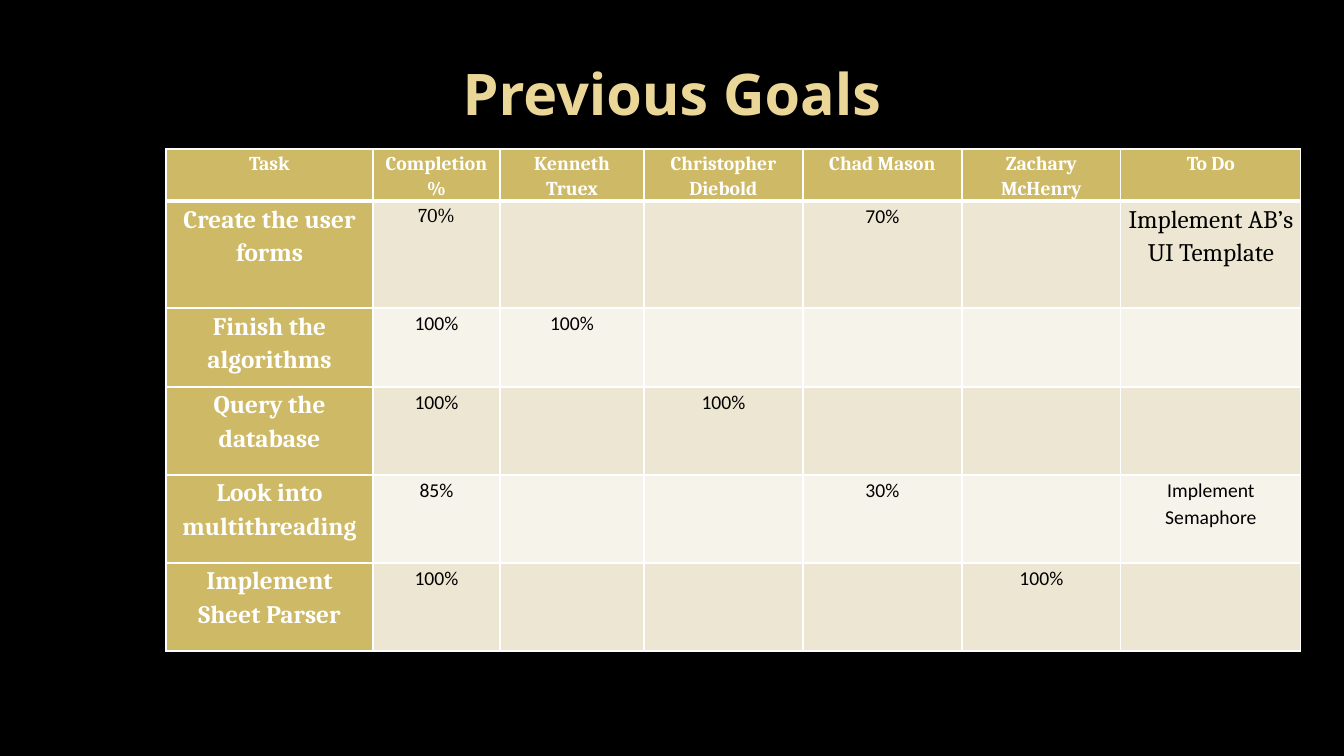
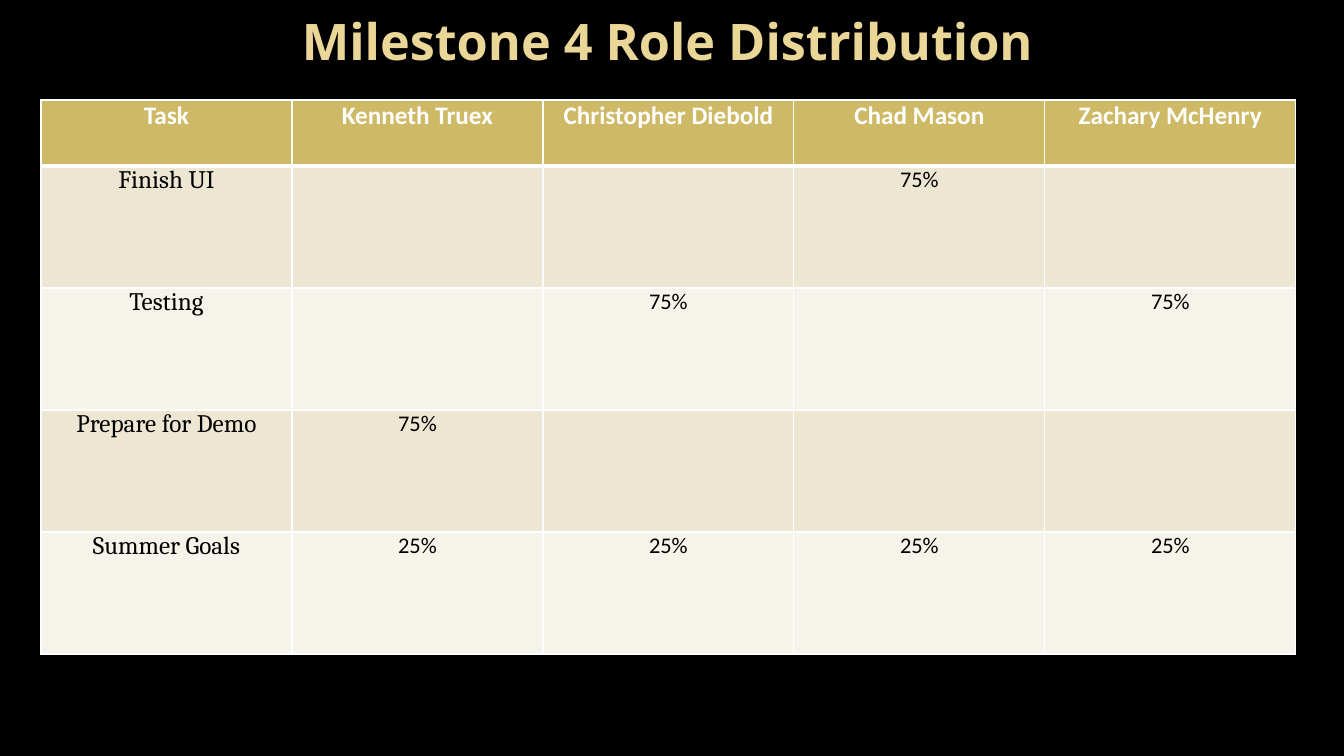
from dataclasses import dataclass

from lxml.etree import SubElement
from pptx import Presentation
from pptx.dml.color import RGBColor
from pptx.enum.text import MSO_ANCHOR as Anchor, PP_ALIGN as Align
from pptx.oxml.ns import qn
from pptx.util import Emu, Pt

EMU_PER_PIXEL = 914400 / 100.8
BLACK, WHITE = "000000", "FFFFFF"
TITLE_GOLD, HEADER_GOLD = "EAD696", "CEB966"
BANDS = ("EDE6D3", "F6F3EA")
TITLE_ONLY = 5
MEMBERS = ["Kenneth Truex", "Christopher Diebold", "Chad Mason", "Zachary McHenry"]


@dataclass
class Lettering:
    """Font settings of a paragraph."""
    family: str
    size: int
    colour: str = BLACK
    bold: bool = False


@dataclass
class GridStyle:
    """Lettering and spacing of one table."""
    header: Lettering
    label: Lettering
    value: Lettering
    spacing: float = 1.0
    gold_labels: bool = False


def px(pixels):
    """Turn pixels into EMU."""
    return Emu(round(pixels * EMU_PER_PIXEL))


def rgb(hex_colour):
    """Turn a hex string into a colour."""
    return RGBColor.from_string(hex_colour)


def letter(paragraph, lettering):
    """Apply centred lettering to a paragraph."""
    paragraph.alignment = Align.CENTER
    font = paragraph.font
    font.name, font.size, font.bold = lettering.family, Pt(lettering.size), lettering.bold
    font.color.rgb = rgb(lettering.colour)


def add_titled_slide(deck, title, box, size):
    """Add a slide and format its title placeholder."""
    slide = deck.slides.add_slide(deck.slide_layouts[TITLE_ONLY])
    heading = slide.shapes.title
    heading.left, heading.top, heading.width, heading.height = map(px, box)
    heading.text_frame.text = title
    heading.text_frame.vertical_anchor = Anchor.MIDDLE
    letter(heading.text_frame.paragraphs[0], Lettering("Open Sans", size, TITLE_GOLD, True))
    return slide


def set_borders(cell, top, bottom):
    """Draw white cell borders, with the top and bottom widths in points."""
    properties = cell._tc.get_or_add_tcPr()
    sides = (("L", 1), ("R", 1), ("T", top), ("B", bottom))
    for position, (side, width) in enumerate(sides):
        line = SubElement(properties, qn(f"a:ln{side}"), w=str(Pt(width)))
        SubElement(SubElement(line, qn("a:solidFill")), qn("a:srgbClr"), val=WHITE)
        properties.insert(position, line)


def format_cell(cell, text, fill, lettering, spacing):
    """Fill a cell and set its text."""
    cell.fill.solid()
    cell.fill.fore_color.rgb = rgb(fill)
    if not text:
        return
    cell.margin_left = cell.margin_right = px(7)
    cell.margin_top = cell.margin_bottom = 0
    cell.text = text
    paragraph = cell.text_frame.paragraphs[0]
    paragraph.line_spacing = spacing
    letter(paragraph, lettering)


def add_grid(slide, corner, widths, heights, rows, style, exceptions=None):
    """Add a table with a gold header row and banded body rows."""
    left, top = corner
    frame = slide.shapes.add_table(
        len(rows), len(widths), px(left), px(top), px(sum(widths)), px(sum(heights)))
    table = frame.table
    table.first_col = style.gold_labels
    for column, width in zip(table.columns, widths):
        column.width = px(width)
    for line, height in zip(table.rows, heights):
        line.height = px(height)
    for r, row in enumerate(rows):
        for c, text in enumerate(row):
            is_gold = r == 0 or (c == 0 and style.gold_labels)
            lettering = style.header if r == 0 else style.label if c == 0 else style.value
            lettering = (exceptions or {}).get((r, c), lettering)
            fill = HEADER_GOLD if is_gold else BANDS[(r - 1) % 2]
            cell = table.cell(r, c)
            format_cell(cell, text, fill, lettering, style.spacing)
            set_borders(cell, 3 if r == 1 else 1, 3 if r == 0 else 1)


def add_previous_goals(deck):
    """Build the slide on earlier goals."""
    slide = add_titled_slide(deck, "Previous Goals", (67, 30, 1210, 126), 41)
    style = GridStyle(
        header=Lettering("Cambria", 14, WHITE, True),
        label=Lettering("Cambria", 18, WHITE, True),
        value=Lettering("Calibri", 14),
        spacing=1.15,
        gold_labels=True)
    rows = [
        ["Task", "Completion %", *MEMBERS, "To Do"],
        ["Create the user forms", "70%", "", "", "70%", "", "Implement AB’s UI Template"],
        ["Finish the algorithms", "100%", "100%", "", "", "", ""],
        ["Query the database", "100%", "", "100%", "", "", ""],
        ["Look into multithreading", "85%", "", "", "30%", "", "Implement Semaphore"],
        ["Implement Sheet Parser", "100%", "", "", "", "100%", ""],
    ]
    exceptions = {(1, 1): Lettering("Cambria", 14), (1, 6): Lettering("Cambria", 18)}
    add_grid(slide, (166, 149), [207, 127, 144, 159, 159, 159, 180],
             [52, 107, 79, 88, 88, 88], rows, style, exceptions)


def add_role_distribution(deck):
    """Build the slide on the roles of milestone 4."""
    slide = add_titled_slide(deck, "Milestone 4 Role Distribution", (178, 0, 979, 81), 36)
    style = GridStyle(
        header=Lettering("Calibri", 18, WHITE, True),
        label=Lettering("Cambria", 18),
        value=Lettering("Calibri", 16))
    rows = [
        ["Task", *MEMBERS],
        ["Finish UI", "", "", "75%", ""],
        ["Testing", "", "75%", "", "75%"],
        ["Prepare for Demo", "75%", "", "", ""],
        ["Summer Goals"] + ["25%"] * len(MEMBERS),
    ]
    add_grid(slide, (41, 100), [251] * 5, [66] + [122] * 4, rows, style)


def main():
    """Build and save the presentation."""
    deck = Presentation()
    deck.slide_width, deck.slide_height = px(1344), px(756)
    backdrop = deck.slide_master.background.fill
    backdrop.solid()
    backdrop.fore_color.rgb = rgb(BLACK)
    add_previous_goals(deck)
    add_role_distribution(deck)
    deck.save("out.pptx")


main()
